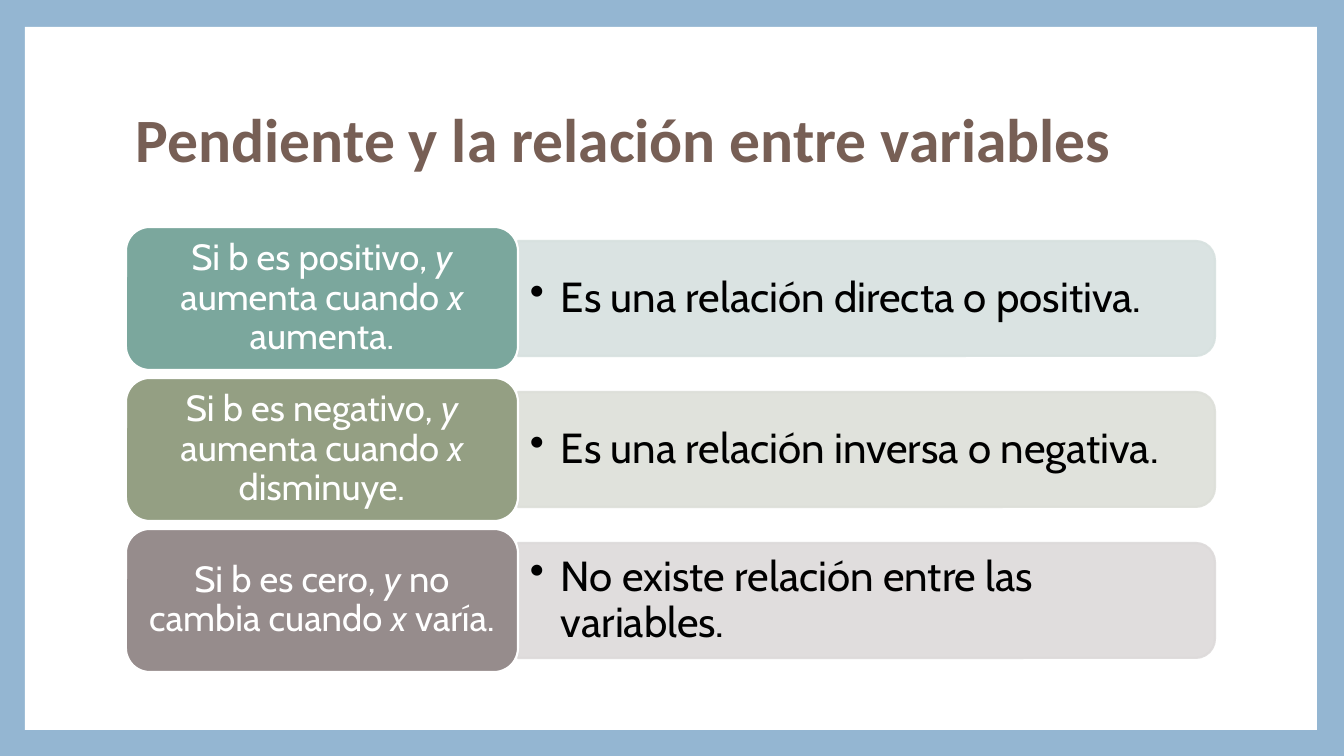
"""Build a slide on how the sign of a slope describes the relation between two variables."""
from lxml.etree import SubElement
from pptx import Presentation
from pptx.dml.color import RGBColor
from pptx.enum.shapes import MSO_SHAPE
from pptx.enum.text import MSO_ANCHOR, MSO_AUTO_SIZE, PP_ALIGN
from pptx.oxml.ns import qn
from pptx.util import Pt

EMU_PER_PX = 12192000 / 1344
ROWS = [
    ("Si b es positivo, *y* aumenta cuando *x* aumenta.",
     "Es una relación directa o positiva.", "7BA79D", "D7E1DF"),
    ("Si b es negativo, *y* aumenta cuando *x* disminuye.",
     "Es una relación inversa o negativa.", "949F83", "DDDFD9"),
    ("Si b es cero, *y* no cambia cuando *x* varía.",
     "No existe relación entre las variables.", "968C8C", "DDDADA"),
]


def px(length):
    return round(length * EMU_PER_PX)


def box(*lengths):
    return [px(length) for length in lengths]


def color(hex_code):
    return RGBColor.from_string(hex_code)


def apply(target, values):
    for name, value in values.items():
        setattr(target, name, value)


class SlopeSlide:
    title_font = {"name": "Calibri", "size": Pt(44), "bold": True}
    card_font = {"name": "Cabin", "size": Pt(26)}
    meaning_font = {"name": "Cabin", "size": Pt(30)}

    def __init__(self, deck, background):
        self.slide = deck.slides.add_slide(deck.slide_layouts[5])
        self.shapes = self.slide.shapes
        fill = self.slide.background.fill
        fill.solid()
        fill.fore_color.rgb = color(background)

    def set_text(self, frame, text, font, ink, align, insets):
        apply(frame, {"word_wrap": True, "auto_size": MSO_AUTO_SIZE.NONE,
                      "vertical_anchor": MSO_ANCHOR.MIDDLE})
        across, down = box(*insets)
        apply(frame, {"margin_left": across, "margin_right": across,
                      "margin_top": down, "margin_bottom": down})
        paragraph = frame.paragraphs[0]
        apply(paragraph, {"alignment": align, "line_spacing": 0.9})
        for index, part in enumerate(text.split("*")):
            run = paragraph.add_run()
            run.text = part
            apply(run.font, {**font, "italic": index % 2 == 1})
            run.font.color.rgb = color(ink)
        return paragraph

    def title(self, text, *place):
        heading = self.shapes.title
        apply(heading, dict(zip(("left", "top", "width", "height"), box(*place))))
        self.set_text(heading.text_frame, text, self.title_font, "775F55",
                      PP_ALIGN.LEFT, (10, 5))
        self.shapes._spTree.append(heading._element)

    def block(self, kind, fill, line, *place):
        block = self.shapes.add_shape(kind, *box(*place))
        block.shadow.inherit = False
        block.fill.solid()
        block.fill.fore_color.rgb = color(fill)
        if line:
            block.line.color.rgb = color(line)
            block.line.width = Pt(1.5)
        else:
            block.line.fill.background()
        return block

    def card(self, text, fill, *place):
        card = self.block(MSO_SHAPE.ROUNDED_RECTANGLE, fill, "FFFFFF", *place)
        self.set_text(card.text_frame, text, self.card_font, "FFFFFF",
                      PP_ALIGN.CENTER, (11, 5))

    def bar(self, fill, left, top, width, height):
        shift = (width - height) // 2
        bar = self.block(MSO_SHAPE.ROUND_2_SAME_RECTANGLE, fill, fill,
                         left + shift, top - shift, height, width)
        bar.rotation = 90
        for tint in bar._element.spPr.iter(qn("a:srgbClr")):
            SubElement(tint, qn("a:alpha"), val="90000")

    def meaning(self, text, *place):
        note = self.shapes.add_textbox(*box(*place))
        paragraph = self.set_text(note.text_frame, text, self.meaning_font, "000000",
                                  PP_ALIGN.LEFT, (12, 6))
        paragraph.level = 1
        properties = paragraph._p.get_or_add_pPr()
        properties.set("marL", str(px(31)))
        properties.set("indent", str(px(-31)))
        SubElement(properties, qn("a:buChar"), char="•")


def main():
    deck = Presentation()
    deck.slide_width, deck.slide_height = box(1344, 756)
    page = SlopeSlide(deck, "94B6D2")
    page.block(MSO_SHAPE.RECTANGLE, "FFFFFF", None, 25, 27, 1292, 703)
    page.title("Pendiente y la relación entre variables", 126, 68, 1089, 149)
    for index, (case, meaning, strong, pale) in enumerate(ROWS):
        top = 227 + 151 * index
        page.bar(pale, 518, top + 14, 697, 115)
        page.meaning(meaning, 518, top + 20, 690, 104)
        page.card(case, strong, 126, top, 392, 143)
    deck.save("out.pptx")


if __name__ == "__main__":
    main()
